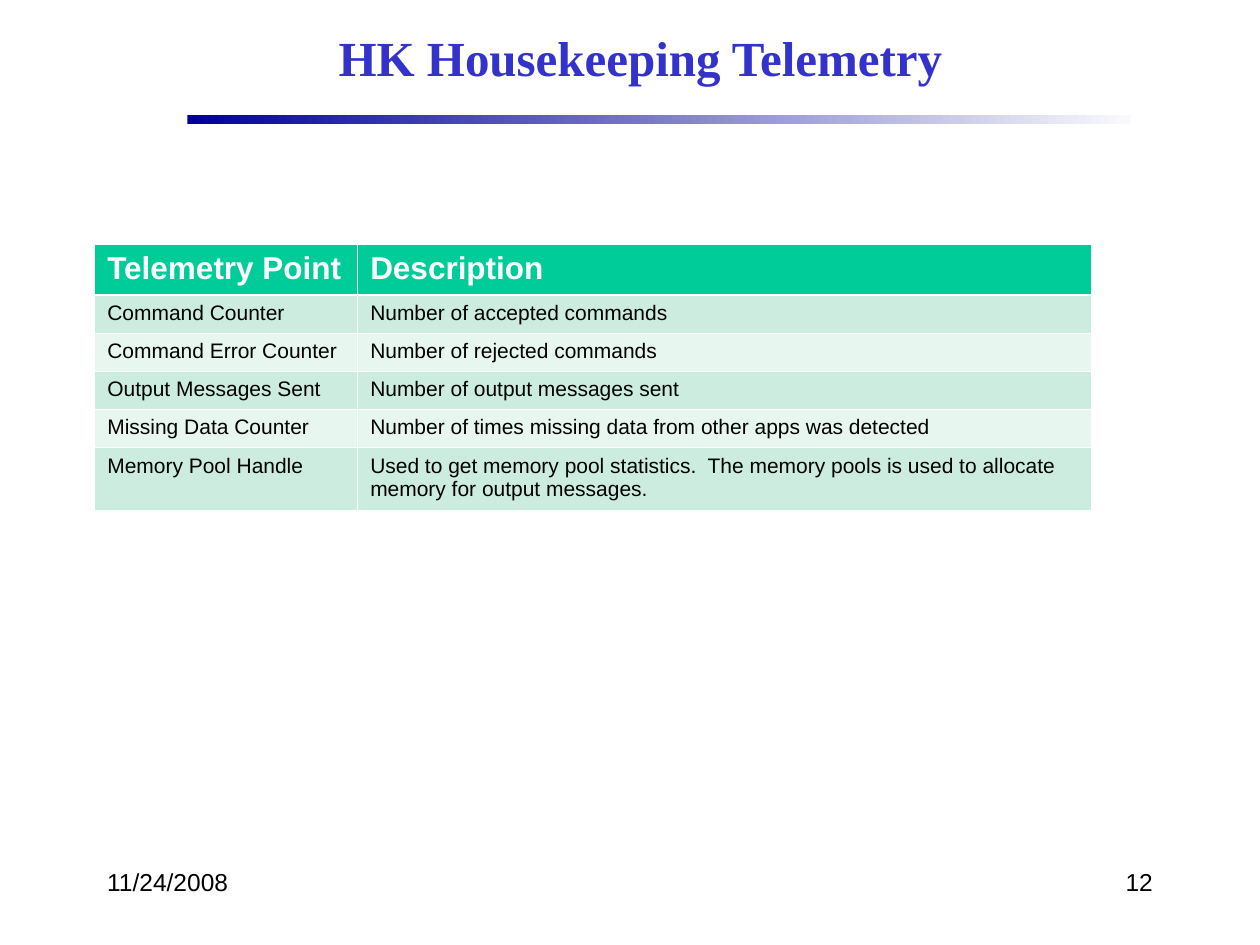
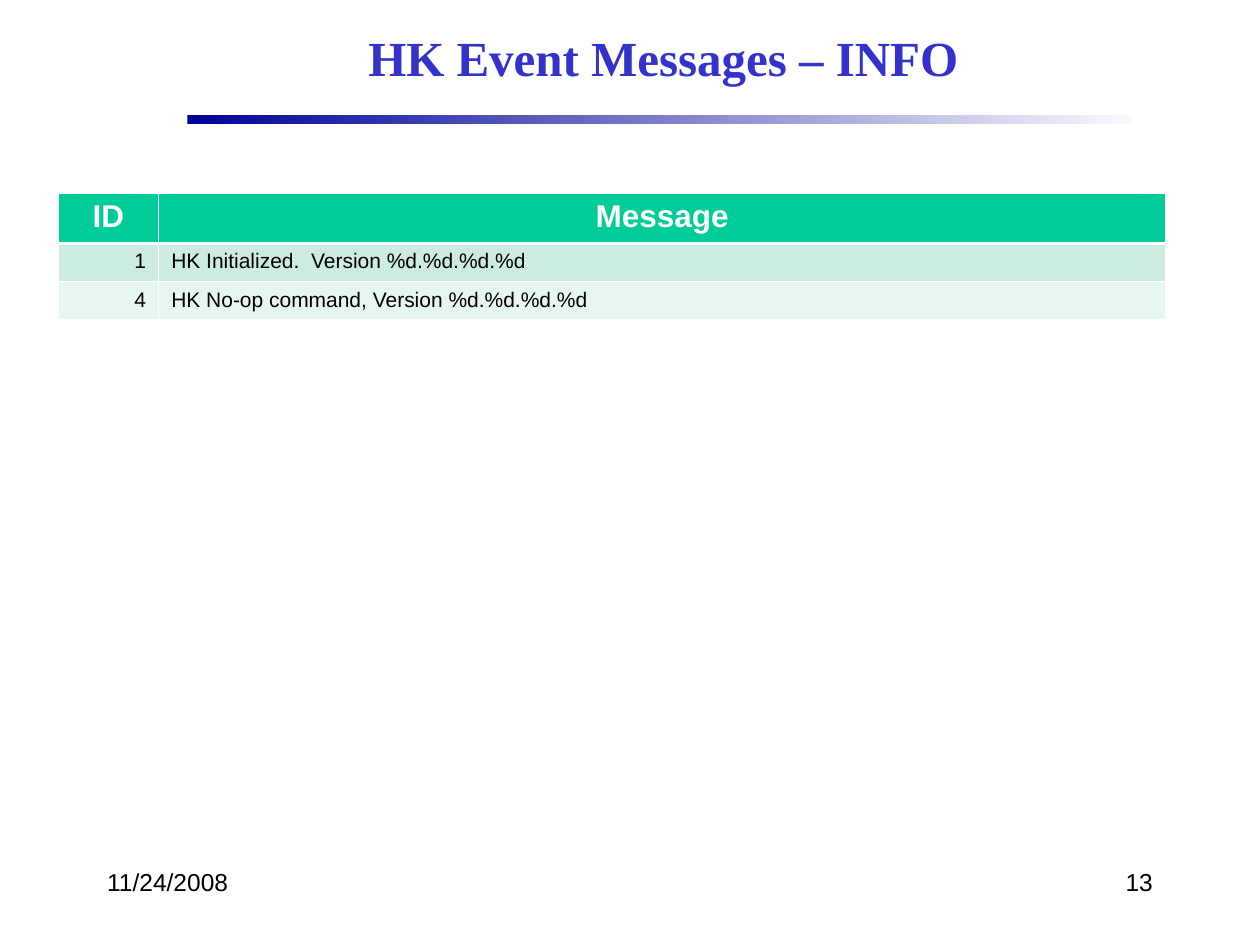
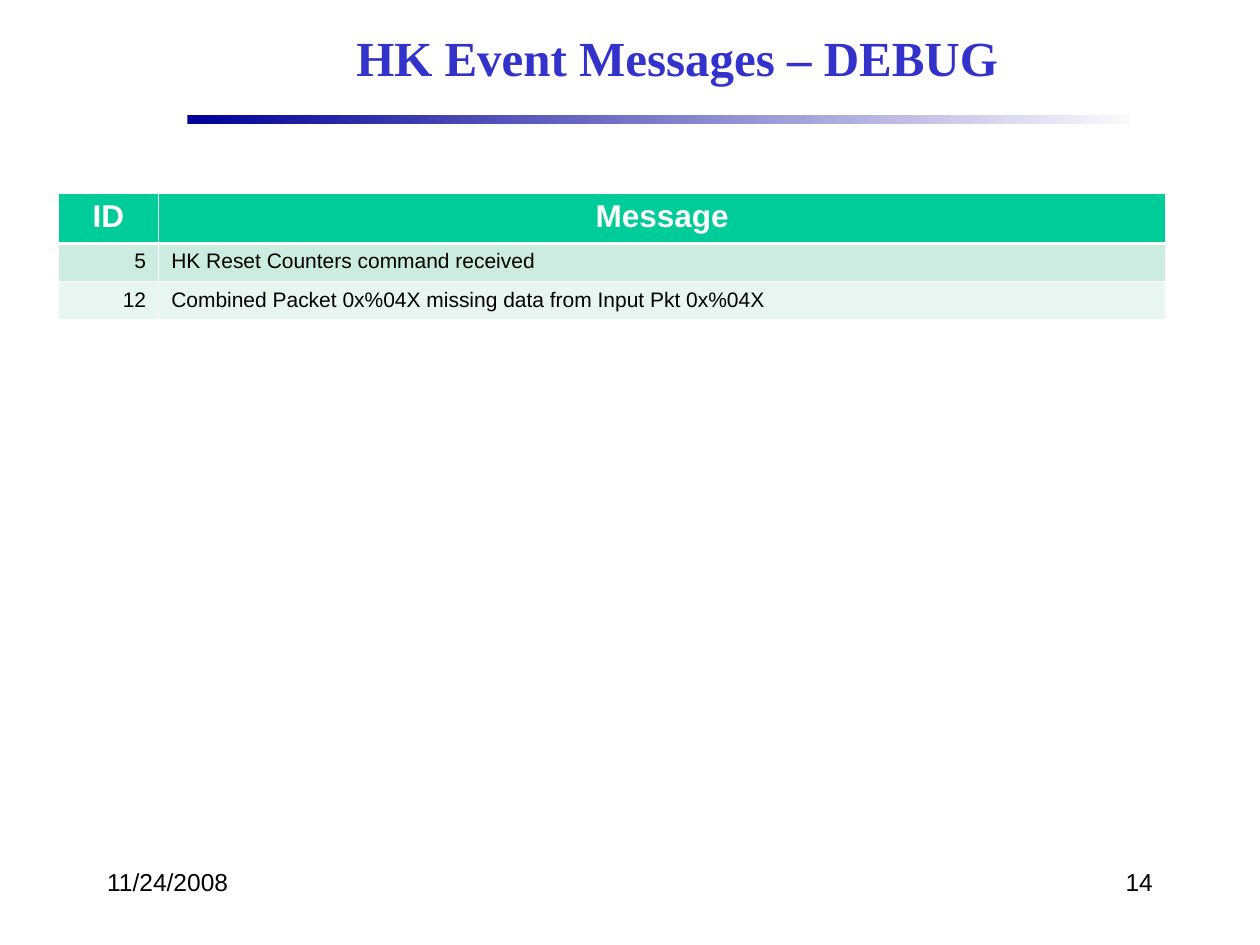
from dataclasses import dataclass

from lxml.etree import SubElement
from pptx import Presentation
from pptx.dml.color import RGBColor
from pptx.enum.shapes import MSO_SHAPE
from pptx.enum.text import MSO_ANCHOR, PP_ALIGN
from pptx.oxml.ns import qn
from pptx.slide import Slide
from pptx.table import _Cell
from pptx.text.text import TextFrame
from pptx.util import Cm, Pt

TITLE_BLUE = RGBColor(0x33, 0x33, 0xCC)
RULE_START = RGBColor(0x00, 0x00, 0x99)
RULE_END = RGBColor(0xF9, 0xF9, 0xFD)
HEADER_GREEN = RGBColor(0x00, 0xCC, 0x99)
BAND_DARK = RGBColor(0xCB, 0xEC, 0xDE)
BAND_LIGHT = RGBColor(0xE7, 0xF6, 0xEF)
WHITE = RGBColor(0xFF, 0xFF, 0xFF)
BLACK = RGBColor(0x00, 0x00, 0x00)

BODY_FONT = "Arial"
TITLE_FONT = "Times New Roman"
DATE = "11/24/2008"
FIRST_NUMBER = 12
THIN, THICK = Pt(0.45), Pt(1.47)
HEADER_HEIGHT, ROW_HEIGHT, TWO_LINE_HEIGHT = Cm(1), Cm(0.77), Cm(1.26)
TWO_LINE_LENGTH = 90


@dataclass(frozen=True)
class TextStyle:
    """Font and alignment of a piece of text."""
    size: float
    color: RGBColor
    bold: bool = False
    font: str = BODY_FONT
    align: PP_ALIGN = PP_ALIGN.LEFT


@dataclass(frozen=True)
class TableLayout:
    """Position, column widths and column alignments of a table."""
    left: float
    top: float
    widths: tuple[float, float]
    header_align: PP_ALIGN
    first_align: PP_ALIGN


@dataclass(frozen=True)
class TableSlide:
    """Title and table of one slide."""
    title: str
    title_left: float
    layout: TableLayout
    rows: tuple[tuple[str, str], ...]


TELEMETRY = TableLayout(1.91, 4.93, (5.3, 14.8), PP_ALIGN.LEFT, PP_ALIGN.LEFT)
EVENTS = TableLayout(1.17, 3.89, (2.03, 20.3), PP_ALIGN.CENTER, PP_ALIGN.RIGHT)
EVENT_HEADER = ("ID", "Message")

SLIDES = (
    TableSlide("HK Housekeeping Telemetry", 3.81, TELEMETRY, (
        ("Telemetry Point", "Description"),
        ("Command Counter", "Number of accepted commands"),
        ("Command Error Counter", "Number of rejected commands"),
        ("Output Messages Sent", "Number of output messages sent"),
        ("Missing Data Counter", "Number of times missing data from other apps was detected"),
        ("Memory Pool Handle", "Used to get memory pool statistics.  The memory pools is used "
                               "to allocate memory for output messages."),
    )),
    TableSlide("HK Event Messages – INFO", 4.27, EVENTS, (
        EVENT_HEADER,
        ("1", "HK Initialized.  Version %d.%d.%d.%d"),
        ("4", "HK No-op command, Version %d.%d.%d.%d"),
    )),
    TableSlide("HK Event Messages – DEBUG", 4.55, EVENTS, (
        EVENT_HEADER,
        ("5", "HK Reset Counters command received"),
        ("12", "Combined Packet 0x%04X missing data from Input Pkt 0x%04X"),
    )),
)


def write(tf: TextFrame, text: str, style: TextStyle) -> None:
    """Fill a text frame with one styled paragraph."""
    tf.text = text
    p = tf.paragraphs[0]
    p.alignment = style.align
    font = p.runs[0].font
    font.name, font.size, font.bold = style.font, Pt(style.size), style.bold
    font.color.rgb = style.color


def add_text(s: Slide, left: float, top: float, width: float, height: float,
             text: str, style: TextStyle, anchor: MSO_ANCHOR = MSO_ANCHOR.TOP) -> None:
    """Add a wrapping text box measured in centimetres."""
    tf = s.shapes.add_textbox(Cm(left), Cm(top), Cm(width), Cm(height)).text_frame
    tf.word_wrap = True
    tf.vertical_anchor = anchor
    write(tf, text, style)


def add_rule(s: Slide) -> None:
    """Add the fading rule under the title."""
    rule = s.shapes.add_shape(MSO_SHAPE.RECTANGLE, Cm(3.78), Cm(2.32), Cm(19.02), Cm(0.18))
    rule.shadow.inherit = False
    rule.line.fill.background()
    rule.fill.gradient()
    rule.fill.gradient_angle = 0
    for stop, color in zip(rule.fill.gradient_stops, (RULE_START, RULE_END)):
        stop.color.rgb = color


def add_frame(s: Slide, title: str, title_left: float, number: int) -> None:
    """Add the rule, title, date and slide number."""
    add_rule(s)
    add_text(s, title_left, 0.2, 18.2, 1.9, title,
             TextStyle(28, TITLE_BLUE, True, TITLE_FONT, PP_ALIGN.CENTER), MSO_ANCHOR.MIDDLE)
    add_text(s, 18.2, 17.36, 5.29, 1.27, str(number), TextStyle(14, BLACK, align=PP_ALIGN.RIGHT))
    add_text(s, 1.91, 17.36, 5.29, 1.27, DATE, TextStyle(14, BLACK))


def set_borders(cell: _Cell, top: Pt, bottom: Pt) -> None:
    """Draw white borders around a cell that has no fill yet."""
    tc_pr = cell._tc.get_or_add_tcPr()
    for tag, width in (("a:lnL", THIN), ("a:lnR", THIN), ("a:lnT", top), ("a:lnB", bottom)):
        ln = SubElement(tc_pr, qn(tag), w=str(int(width)))
        fill = SubElement(ln, qn("a:solidFill"))
        SubElement(fill, qn("a:srgbClr"), val=str(WHITE))


def row_height(index: int, message: str) -> Cm:
    """Return the height a table row needs."""
    if index == 0:
        return HEADER_HEIGHT
    return TWO_LINE_HEIGHT if len(message) > TWO_LINE_LENGTH else ROW_HEIGHT


def add_banded_table(s: Slide, layout: TableLayout, rows: tuple[tuple[str, str], ...]) -> None:
    """Add a table with a green header and alternating row bands."""
    heights = [row_height(i, row[1]) for i, row in enumerate(rows)]
    table = s.shapes.add_table(len(rows), len(layout.widths), Cm(layout.left), Cm(layout.top),
                               Cm(sum(layout.widths)), sum(heights)).table
    for column, width in zip(table.columns, layout.widths):
        column.width = Cm(width)
    for i, row in enumerate(rows):
        table.rows[i].height = heights[i]
        for j, text in enumerate(row):
            cell = table.cell(i, j)
            set_borders(cell, THICK if i == 1 else THIN, THICK if i == 0 else THIN)
            cell.fill.solid()
            if i == 0:
                cell.fill.fore_color.rgb = HEADER_GREEN
                style = TextStyle(18, WHITE, True, align=layout.header_align)
            else:
                cell.fill.fore_color.rgb = BAND_DARK if i % 2 else BAND_LIGHT
                align = layout.first_align if j == 0 else PP_ALIGN.LEFT
                style = TextStyle(12, BLACK, align=align)
            write(cell.text_frame, text, style)


def main() -> None:
    """Build the slides and save the presentation."""
    prs = Presentation()
    prs.slide_width, prs.slide_height = Cm(25.4), Cm(19.05)
    for number, content in enumerate(SLIDES, FIRST_NUMBER):
        s = prs.slides.add_slide(prs.slide_layouts[6])
        add_frame(s, content.title, content.title_left, number)
        add_banded_table(s, content.layout, content.rows)
    prs.save("out.pptx")


if __name__ == "__main__":
    main()
